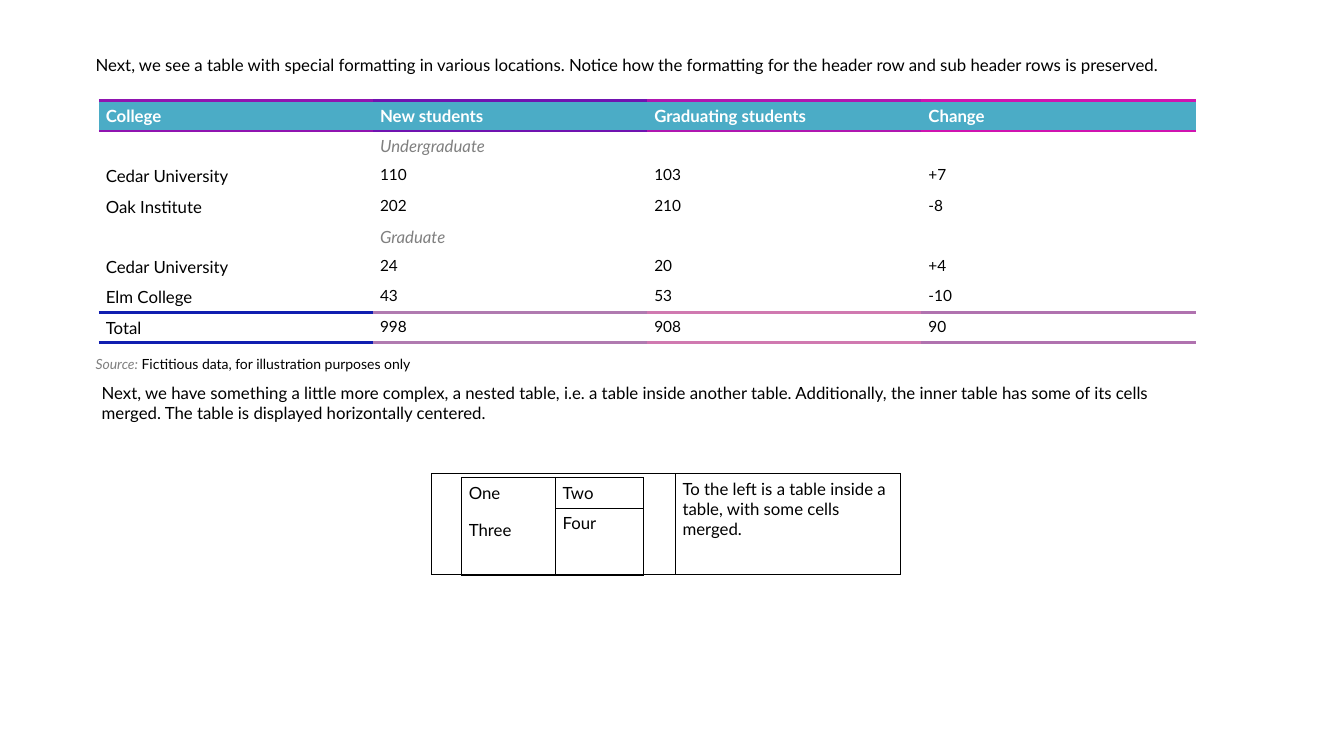
from lxml import etree
from pptx import Presentation
from pptx.dml.color import RGBColor
from pptx.enum.text import MSO_ANCHOR
from pptx.oxml.ns import qn
from pptx.util import Pt

PX = 9144  # EMU per px, 100 px to the inch
TOP = MSO_ANCHOR.TOP
NO_STYLE = "{2D5ABB26-0587-4C30-8999-92F81FD0307C}"

THEME = {
    "font": "Lato",
    "ink": "000000", "muted": "808080", "white": "FFFFFF", "header": "4BACC6",
    "header_rules": ["9014B0", "7013B0", "B016B0", "D013B0"],
    "total_rules": ["101EB0", "B07AB0", "D079B0", "B072AF"],
    "body": 12, "number": 11, "source": 10,
    "rule": 2.21, "grid": 0.75,
}


def add_run(paragraph, text, size=THEME["body"], color=THEME["ink"], bold=False, italic=False):
    run = paragraph.add_run()
    run.text = text
    font = run.font
    font.name, font.size = THEME["font"], Pt(size)
    font.bold, font.italic = bold, italic
    font.color.rgb = RGBColor.from_string(color)


def add_plain_table(slide, left, top, widths, heights, borders, fills):
    """Add a table; borders maps (row, column) to {side: (colour, points)}."""
    shape = slide.shapes.add_table(len(heights), len(widths), left * PX, top * PX,
                                   sum(widths) * PX, sum(heights) * PX)
    table = shape.table
    table.first_row = table.horz_banding = False
    next(shape.element.iter(qn("a:tableStyleId"))).text = NO_STYLE
    for column, width in zip(table.columns, widths):
        column.width = width * PX
    for row, height in enumerate(heights):
        table.rows[row].height = height * PX
        for column in range(len(widths)):
            cell = table.cell(row, column)
            cell.margin_left = cell.margin_right = 7 * PX
            cell.margin_top = cell.margin_bottom = 5 * PX
            cell.vertical_anchor = TOP
            properties = cell._tc.get_or_add_tcPr()
            sides = borders.get((row, column), {})
            for side in "LRTB":
                color, points = sides.get(side, (None, 0))
                line = etree.SubElement(properties, qn("a:ln" + side), w=str(Pt(points)))
                if color:
                    fill = etree.SubElement(line, qn("a:solidFill"))
                    etree.SubElement(fill, qn("a:srgbClr"), val=color)
                else:
                    etree.SubElement(line, qn("a:noFill"))
            if row in fills:
                cell.fill.solid()
                cell.fill.fore_color.rgb = RGBColor.from_string(fills[row])
            else:
                cell.fill.background()
            # Keeps empty cells from stretching their row
            end = etree.SubElement(cell.text_frame.paragraphs[0]._p, qn("a:endParaRPr"))
            end.set("sz", str(THEME["body"] * 100))
    return table


presentation = Presentation()
presentation.slide_width, presentation.slide_height = 1333 * PX, 750 * PX
slide = presentation.slides.add_slide(presentation.slide_layouts[6])

# Running text
source_style = {"size": THEME["source"]}
text_boxes = [
    (85, 52, 1150, 35, 0.9, [
        ("Next, we see a table with special formatting in various locations. Notice how the "
         "formatting for the header row and sub header rows is preserved.", {})]),
    (85, 348, 667, 27, 1.0, [
        ("Source:", {**source_style, "color": THEME["muted"], "italic": True}),
        (" Fictitious data, for illustration purposes only", source_style)]),
    (91, 375, 1094, 50, 1.0, [
        ("Next, we have something a little more complex, a nested table, i.e. a table inside "
         "another table. Additionally, the inner table has some of its cells merged. The table "
         "is displayed horizontally centered.", {})]),
]
for left, top, width, height, spacing, runs in text_boxes:
    frame = slide.shapes.add_textbox(left * PX, top * PX, width * PX, height * PX).text_frame
    frame.word_wrap = True
    paragraph = frame.paragraphs[0]
    paragraph.line_spacing = spacing
    for text, style in runs:
        add_run(paragraph, text, **style)

# Student table
student_rows = [
    ["College", "New students", "Graduating students", "Change"],
    ["", "Undergraduate", "", ""],
    ["Cedar University", "110", "103", "+7"],
    ["Oak Institute", "202", "210", "-8"],
    ["", "Graduate", "", ""],
    ["Cedar University", "24", "20", "+4"],
    ["Elm College", "43", "53", "-10"],
    ["Total", "998", "908", "90"],
]
total_row = len(student_rows) - 1
student_borders = {}
for column in range(4):
    header_rule = (THEME["header_rules"][column], THEME["rule"])
    total_rule = (THEME["total_rules"][column], THEME["rule"])
    student_borders[0, column] = {"T": header_rule, "B": header_rule}
    student_borders[1, column] = {"T": header_rule}
    student_borders[total_row - 1, column] = {"B": total_rule}
    student_borders[total_row, column] = {"T": total_rule, "B": total_rule}
students = add_plain_table(slide, 98, 100, [272] * 4, [30] * len(student_rows), student_borders,
                           {0: THEME["header"], total_row: THEME["white"]})
for row, texts in enumerate(student_rows):
    for column, text in enumerate(texts):
        if not text:
            continue
        paragraph = students.cell(row, column).text_frame.paragraphs[0]
        paragraph.line_spacing = Pt(14.3)
        if row == 0:
            add_run(paragraph, text, color=THEME["white"], bold=True)
        elif not texts[0]:
            add_run(paragraph, text, color=THEME["muted"], italic=True)
        elif column == 0:
            add_run(paragraph, text)
        else:
            paragraph.line_spacing = Pt(12.8)
            paragraph.space_after = Pt(10)
            add_run(paragraph, text, size=THEME["number"])

# Nested tables: the inner one, then its frame
box = dict.fromkeys("LRTB", (THEME["ink"], THEME["grid"]))
inner_borders = {(row, column): box for row in range(2) for column in range(2)}
inner = add_plain_table(slide, 458, 474, [93, 87], [30, 66], inner_borders, {})
inner.cell(0, 0).merge(inner.cell(1, 0))
outer = add_plain_table(slide, 428, 470, [242, 223], [100], {(0, 0): box, (0, 1): box}, {})
nested_texts = [
    (inner.cell(0, 0), ["One", "Three"]),
    (inner.cell(0, 1), ["Two"]),
    (inner.cell(1, 1), ["Four"]),
    (outer.cell(0, 1), ["To the left is a table inside a table, with some cells merged."]),
]
for cell, texts in nested_texts:
    frame = cell.text_frame
    for index, text in enumerate(texts):
        paragraph = frame.add_paragraph() if index else frame.paragraphs[0]
        paragraph.line_spacing = Pt(14.3)
        if index:
            paragraph.space_before = Pt(12)
        add_run(paragraph, text)

presentation.save("out.pptx")
